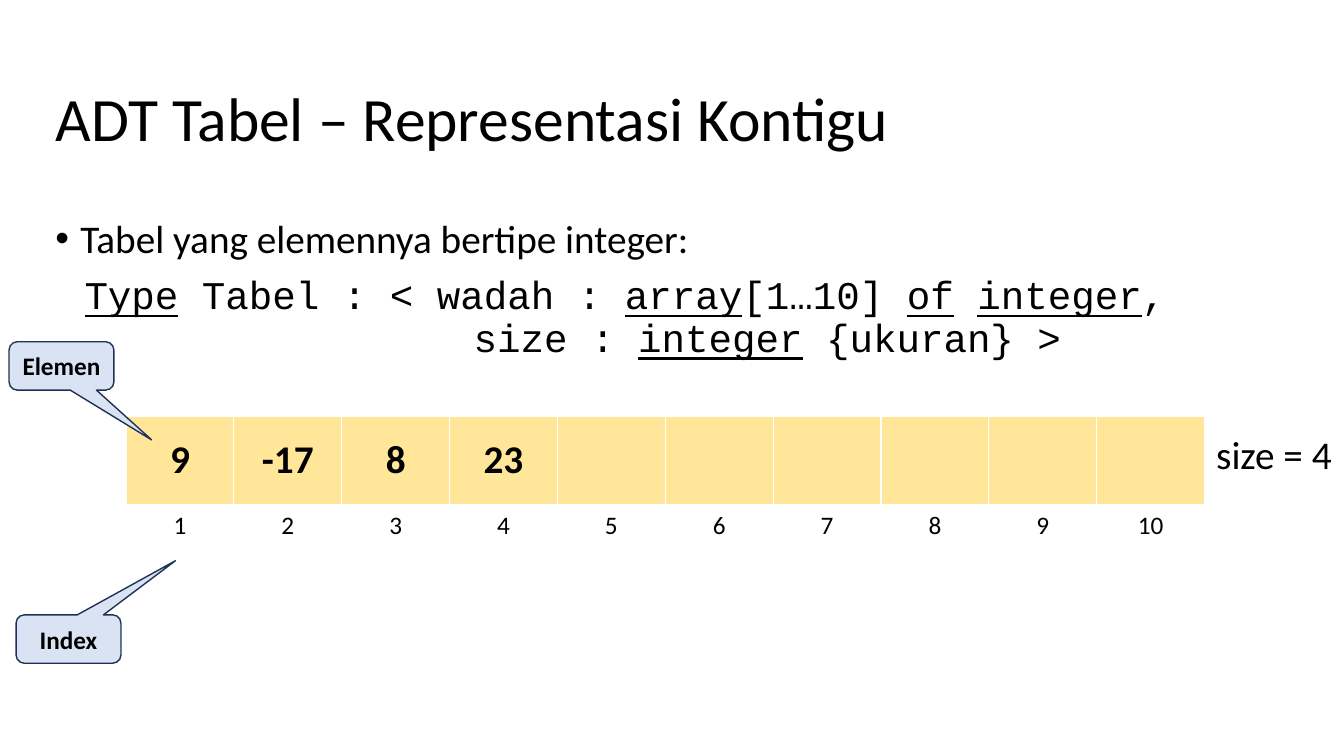
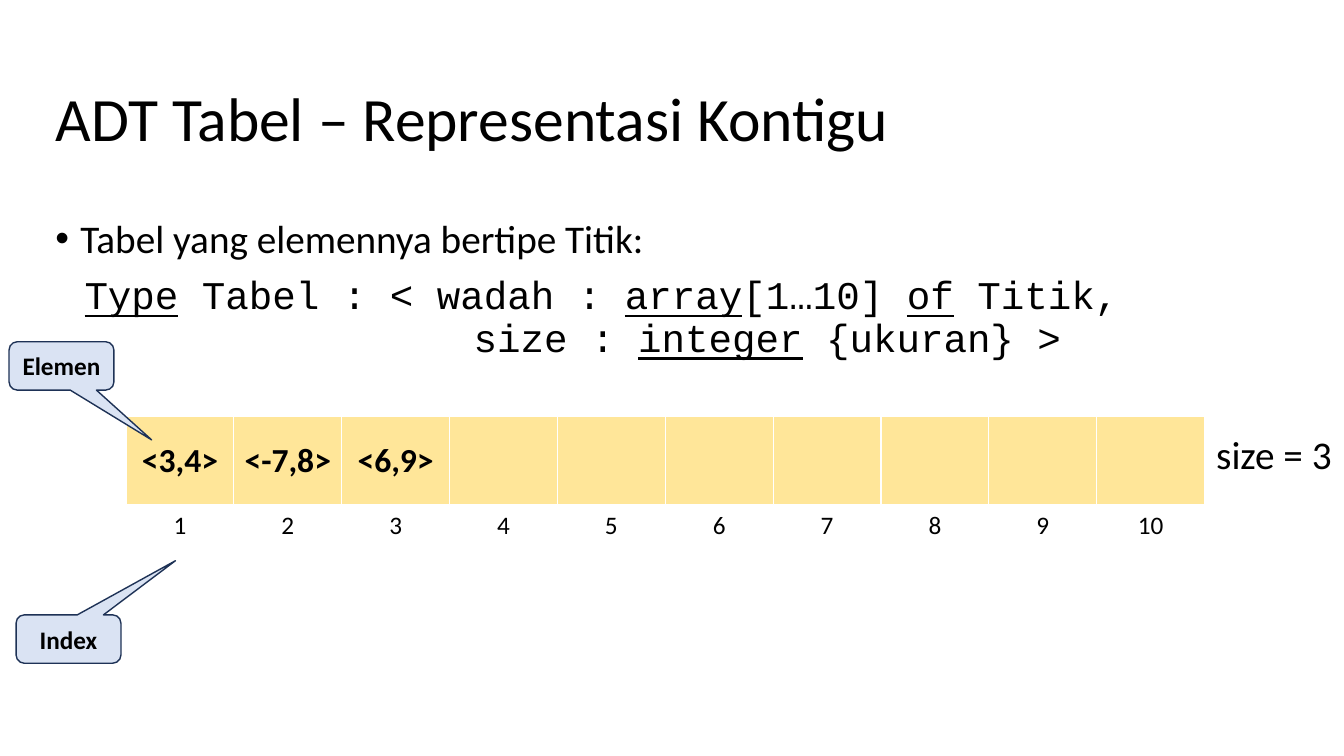
from lxml.etree import SubElement
from pptx import Presentation
from pptx.dml.color import RGBColor
from pptx.enum.shapes import MSO_SHAPE
from pptx.enum.text import MSO_ANCHOR, MSO_AUTO_SIZE, PP_ALIGN
from pptx.oxml import parse_xml
from pptx.oxml.ns import nsdecls, qn
from pptx.util import Inches, Pt

COLORS = {
    "text": "000000",
    "cell": "FFE699",
    "border": "FFFFFF",
    "callout": "DAE3F3",
    "outline": "1E3256",
}
TEXT_FONT = "Calibri"
CODE_FONT = "Courier New"
TITLE = "ADT Tabel – Representasi Kontigu"
CAPACITY = 10
CELL_WIDTH = 1.07
CALLOUTS = [
    ("Elemen", 0.09, 3.39, (0.86, 1.53, 0.17)),
    ("Index", 0.16, 6.1, (1.02, -1.62, 0.17)),
]
TABLES = [
    {"type": "integer", "code_type": "_integer_", "size": 28,
     "values": ["9", "-17", "8", "23"]},
    {"type": "Titik", "code_type": "Titik", "size": 24,
     "values": ["<3,4>", "<-7,8>", "<6,9>"]},
]


def color(name):
    return RGBColor.from_string(COLORS[name])


def add_span(para, text, size, bold=False, font=TEXT_FONT, underline=False):
    span = para.add_run()
    span.text = text
    span.font.name = font
    span.font.size = Pt(size)
    span.font.bold = bold
    span.font.underline = underline
    span.font.color.rgb = color("text")


def add_code(para, lines, size):
    for number, line in enumerate(lines):
        if number:
            para.add_line_break()
        for position, text in enumerate(line.split("_")):
            if text:
                add_span(para, text, size, font=CODE_FONT, underline=position % 2 == 1)


def set_indent(para, left, first):
    properties = para._p.get_or_add_pPr()
    properties.set("marL", str(Inches(left)))
    properties.set("indent", str(Inches(first)))
    return properties


def add_box(page, left, top, width, height):
    box = page.shapes.add_textbox(Inches(left), Inches(top), Inches(width), Inches(height))
    box.text_frame.word_wrap = True
    return box.text_frame


def set_title(page):
    title = page.shapes.title
    title.left, title.top = Inches(0.45), Inches(0.48)
    title.width, title.height = Inches(11.5), Inches(1.45)
    title.text_frame.vertical_anchor = MSO_ANCHOR.MIDDLE
    title.text_frame.auto_size = MSO_AUTO_SIZE.NONE
    para = title.text_frame.paragraphs[0]
    para.alignment = PP_ALIGN.LEFT
    para.line_spacing = 0.9
    add_span(para, TITLE, 44)


def add_definition(page, table):
    frame = add_box(page, 0.45, 2.13, 12.47, 4.76)
    intro = frame.paragraphs[0]
    properties = set_indent(intro, 0.25, -0.25)
    SubElement(properties, qn("a:buFont")).set("typeface", "Arial")
    SubElement(properties, qn("a:buChar")).set("char", "•")
    intro.line_spacing = 0.9
    add_span(intro, f"Tabel yang elemennya bertipe {table['type']}:", 28)

    code = frame.add_paragraph()
    set_indent(code, 4.15, -3.86)
    code.line_spacing = 0.9
    code.space_before = Pt(10)
    add_code(code, [
        f"_Type_ Tabel : < wadah : _array_[1…10] _of_ {table['code_type']},",
        "size : _integer_ {ukuran} >",
    ], 28)


def set_side_borders(cell):
    properties = cell._tc.get_or_add_tcPr()
    for position, side in enumerate(("lnL", "lnR")):
        properties.insert(position, parse_xml(
            f'<a:{side} {nsdecls("a")} w="{Pt(1)}"><a:solidFill>'
            f'<a:srgbClr val="{COLORS["border"]}"/></a:solidFill></a:{side}>'))


def write_cell(cell, text, size, bold):
    cell.vertical_anchor = MSO_ANCHOR.MIDDLE
    para = cell.text_frame.paragraphs[0]
    para.alignment = PP_ALIGN.CENTER
    if text:
        add_span(para, text, size, bold)


def add_array(page, values, size):
    grid = page.shapes.add_table(2, CAPACITY, Inches(1.25), Inches(4.13),
                                 Inches(CELL_WIDTH * CAPACITY), Inches(1.28)).table
    grid.first_row = grid.horz_banding = False
    grid.rows[0].height, grid.rows[1].height = Inches(0.88), Inches(0.4)
    for index in range(CAPACITY):
        grid.columns[index].width = Inches(CELL_WIDTH)
        element, label = grid.cell(0, index), grid.cell(1, index)
        element.fill.solid()
        element.fill.fore_color.rgb = color("cell")
        set_side_borders(element)
        label.fill.background()
        write_cell(element, values[index] if index < len(values) else "", size, True)
        write_cell(label, str(index + 1), 18, False)


def add_size_label(page, count):
    para = add_box(page, 11.86, 4.22, 1.55, 0.57).paragraphs[0]
    para.alignment = PP_ALIGN.CENTER
    add_span(para, f"size = {count}", 28)


def add_callout(page, text, left, top, adjustments):
    callout = page.shapes.add_shape(MSO_SHAPE.ROUNDED_RECTANGULAR_CALLOUT, Inches(left),
                                    Inches(top), Inches(1.04), Inches(0.48))
    for number, value in enumerate(adjustments):
        callout.adjustments[number] = value
    callout.shadow.inherit = False
    callout.fill.solid()
    callout.fill.fore_color.rgb = color("callout")
    callout.line.color.rgb = color("outline")
    callout.line.width = Pt(1)
    callout.text_frame.vertical_anchor = MSO_ANCHOR.MIDDLE
    para = callout.text_frame.paragraphs[0]
    para.alignment = PP_ALIGN.CENTER
    add_span(para, text, 18, bold=True)


def add_page(deck, table):
    page = deck.slides.add_slide(deck.slide_layouts[5])
    set_title(page)
    add_definition(page, table)
    add_array(page, table["values"], table["size"])
    add_size_label(page, len(table["values"]))
    for callout in CALLOUTS:
        add_callout(page, *callout)


def main():
    deck = Presentation()
    deck.slide_width, deck.slide_height = Inches(13.33), Inches(7.5)
    for table in TABLES:
        add_page(deck, table)
    deck.save("out.pptx")


if __name__ == "__main__":
    main()
